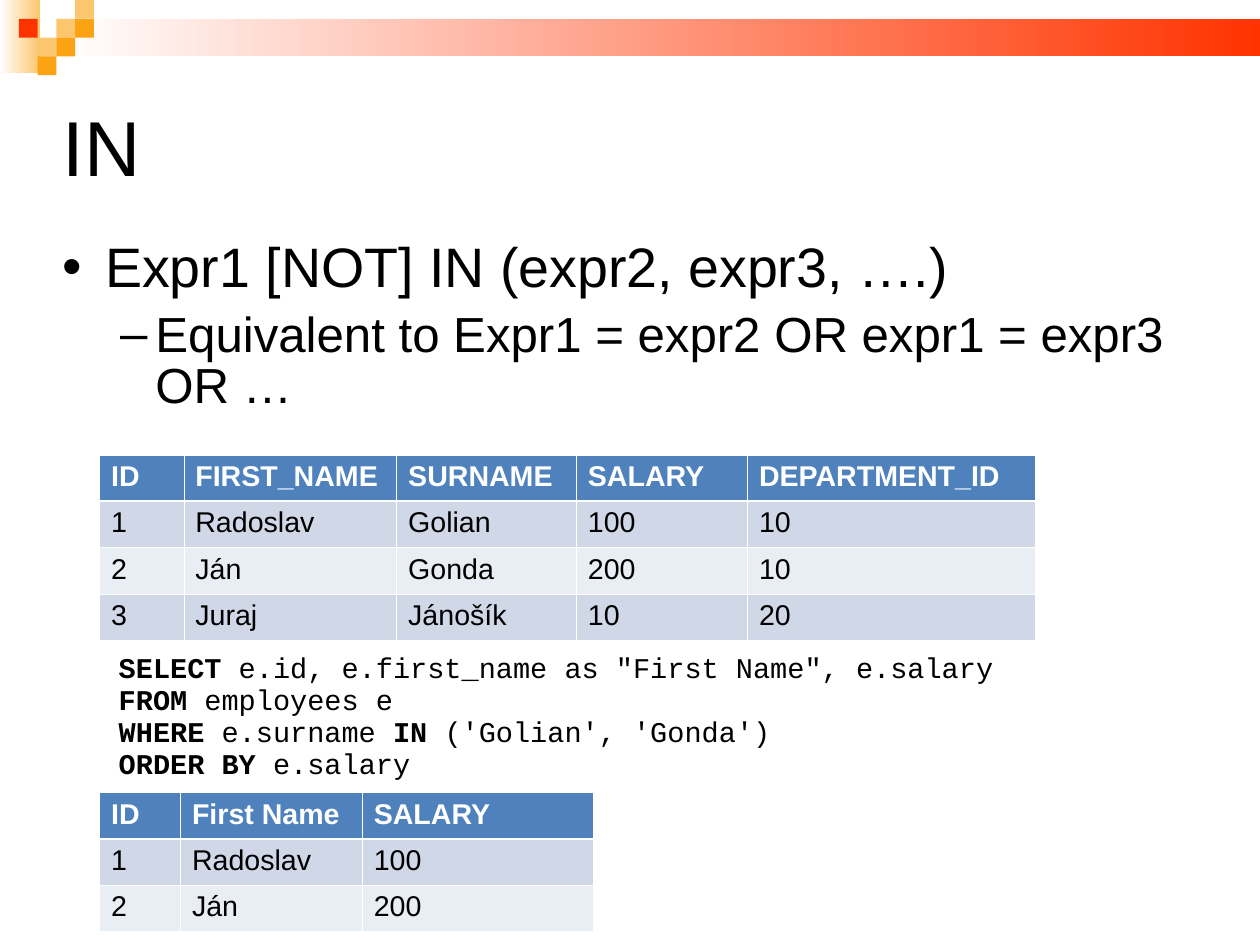
from dataclasses import dataclass

import pptx
import pptx.dml.color
import pptx.enum.shapes
import pptx.enum.text
import pptx.oxml
import pptx.oxml.ns
import pptx.util

Pt = pptx.util.Pt
qn = pptx.oxml.ns.qn


@dataclass(frozen=True)
class Theme:
    black: str = "000000"
    white: str = "FFFFFF"
    red: str = "FF3300"
    amber: str = "FBA313"
    sand: str = "FCC66E"
    head: str = "4F81BD"
    odd: str = "D0D8E8"
    even: str = "E9EDF4"
    sans: str = "Arial"
    mono: str = "Courier New"
    title: float = 49
    point: float = 35
    detail: float = 31
    small: float = 18
    thin: float = 0.45
    thick: float = 1.47


@dataclass(frozen=True)
class Box:
    left: float
    top: float
    width: float
    height: float

    def lengths(self) -> tuple:
        return Pt(self.left), Pt(self.top), Pt(self.width), Pt(self.height)


@dataclass(frozen=True)
class Tile:
    col: int
    row: int
    color: str


@dataclass(frozen=True)
class Point:
    text: str
    size: float
    mark: str
    margin: float
    hang: float
    before: float
    level: int


@dataclass(frozen=True)
class Grid:
    left: float
    top: float
    widths: tuple
    rows: tuple


LOOK = Theme()
SIDE = 11.85
ROW = 29.2

FADES = [(Box(0, 0, 25.2, 46.1), LOOK.sand),
         (Box(36, 11.8, 757.7, 23.6), LOOK.red)]

TILES = [Tile(3, 1, LOOK.sand), Tile(4, 0, LOOK.sand), Tile(4, 1, LOOK.amber),
         Tile(2, 2, LOOK.sand), Tile(1, 1, LOOK.red), Tile(3, 2, LOOK.amber),
         Tile(2, 3, LOOK.amber)]

POINTS = [
    Point("Expr1 [NOT] IN (expr2, expr3, ….)", LOOK.point, "•", 26.6, 26.6, 0, 0),
    Point("Equivalent to Expr1 = expr2 OR expr1 = expr3 OR …",
          LOOK.detail, "–", 58.3, 22.3, 7.7, 1),
]

# Each line is a list of (text, bold) pairs.
QUERY = [
    [("SELECT ", True), ('e.id, e.first_name as "First Name", e.salary', False)],
    [("FROM", True), (" employees e", False)],
    [("WHERE ", True), ("e.surname ", False), ("IN ", True),
     ("('Golian', 'Gonda')", False)],
    [("ORDER BY ", True), ("e.salary", False)],
]

STAFF = Grid(62.8, 286.6, (53.1, 134.1, 113.2, 107.8, 181.2), (
    ("ID", "FIRST_NAME", "SURNAME", "SALARY", "DEPARTMENT_ID"),
    ("1", "Radoslav", "Golian", "100", "10"),
    ("2", "Ján", "Gonda", "200", "10"),
    ("3", "Juraj", "Jánošík", "10", "20"),
))
RESULT = Grid(62.8, 499.2, (51, 114.5, 145.5), (
    ("ID", "First Name", "SALARY"),
    ("1", "Radoslav", "100"),
    ("2", "Ján", "200"),
))


def tint(code: str) -> pptx.dml.color.RGBColor:
    return pptx.dml.color.RGBColor.from_string(code)


def write(para, text: str, *, size: float, font: str = LOOK.sans,
          color: str = LOOK.black, bold: bool = False) -> None:
    run = para.add_run()
    run.text = text
    run.font.name = font
    run.font.size = Pt(size)
    run.font.bold = bold
    run.font.color.rgb = tint(color)


def add_block(slide, box: Box):
    block = slide.shapes.add_shape(
        pptx.enum.shapes.MSO_SHAPE.RECTANGLE, *box.lengths())
    block.shadow.inherit = False
    block.line.fill.background()
    return block


def add_fade(slide, box: Box, color: str) -> None:
    """Add a bar that runs from white at the left to the colour."""
    fill = add_block(slide, box).fill
    fill.gradient()
    fill.gradient_angle = 0
    for stop, code in zip(fill.gradient_stops, (LOOK.white, color)):
        stop.color.rgb = tint(code)


def add_tile(slide, tile: Tile) -> None:
    box = Box(tile.col * SIDE, tile.row * SIDE, SIDE, SIDE)
    fill = add_block(slide, box).fill
    fill.solid()
    fill.fore_color.rgb = tint(tile.color)


def add_frame(slide, box: Box, inset: tuple):
    """Add a wrapping text box; inset is left, top, right, bottom."""
    frame = slide.shapes.add_textbox(*box.lengths()).text_frame
    frame.word_wrap = True
    (frame.margin_left, frame.margin_top,
     frame.margin_right, frame.margin_bottom) = map(Pt, inset)
    return frame


def add_lines(frame, count: int, spacing: float) -> list:
    lines = [frame.paragraphs[0]]
    lines += [frame.add_paragraph() for _ in range(count - 1)]
    for line in lines:
        line.line_spacing = spacing
    return lines


def set_mark(para, point: Point) -> None:
    """Give the paragraph its bullet and hanging indent."""
    props = para._p.get_or_add_pPr()
    props.set("marL", str(Pt(point.margin)))
    props.set("indent", str(-Pt(point.hang)))
    color = pptx.oxml.parse_xml(
        f'<a:buClr {pptx.oxml.ns.nsdecls("a")}><a:srgbClr val="{LOOK.black}"/></a:buClr>')
    props.append(color)
    for tag, key, value in (("a:buFont", "typeface", LOOK.sans),
                            ("a:buChar", "char", point.mark)):
        props.makeelement(qn(tag))
        item = props.makeelement(qn(tag), {key: value})
        props.append(item)
    para.level = point.level
    para.space_before = Pt(point.before)


def set_edges(cell, row: int) -> None:
    """Draw white cell borders, thicker between the head and the body."""
    props = cell._tc.get_or_add_tcPr()
    weights = {"L": LOOK.thin, "R": LOOK.thin,
               "T": LOOK.thick if row == 1 else LOOK.thin,
               "B": LOOK.thick if row == 0 else LOOK.thin}
    for place, (side, weight) in enumerate(weights.items()):
        props.insert(place, pptx.oxml.parse_xml(
            f'<a:ln{side} {pptx.oxml.ns.nsdecls("a")} w="{Pt(weight)}"><a:solidFill>'
            f'<a:srgbClr val="{LOOK.white}"/></a:solidFill></a:ln{side}>'))


def add_grid(slide, grid: Grid) -> None:
    box = Box(grid.left, grid.top, sum(grid.widths), ROW * len(grid.rows))
    table = slide.shapes.add_table(
        len(grid.rows), len(grid.widths), *box.lengths()).table
    table.horz_banding = False
    for column, width in zip(table.columns, grid.widths):
        column.width = Pt(width)
    for row, texts in enumerate(grid.rows):
        head = row == 0
        for col, text in enumerate(texts):
            cell = table.cell(row, col)
            cell.fill.solid()
            cell.fill.fore_color.rgb = tint(
                LOOK.head if head else LOOK.odd if row % 2 else LOOK.even)
            set_edges(cell, row)
            write(cell.text_frame.paragraphs[0], text, size=LOOK.small,
                  color=LOOK.white if head else LOOK.black, bold=head)


def main() -> None:
    deck = pptx.Presentation()
    deck.slide_width, deck.slide_height = Pt(793.7), Pt(595.3)
    slide = deck.slides.add_slide(deck.slide_layouts[6])

    for box, color in FADES:
        add_fade(slide, box, color)
    for tile in TILES:
        add_tile(slide, tile)

    title = add_frame(slide, Box(39.6, 36.7, 714.2, 118.8), (0, 0, 0, 0))
    title.vertical_anchor = pptx.enum.text.MSO_ANCHOR.MIDDLE
    write(add_lines(title, 1, 0.87)[0], "IN", size=LOOK.title)

    body = add_frame(slide, Box(39.6, 147.6, 714.2, 337), (0, 4.3, 0, 0))
    for para, point in zip(add_lines(body, len(POINTS), 0.87), POINTS):
        set_mark(para, point)
        write(para, point.text, size=point.size)

    code = add_frame(slide, Box(67.7, 407.5, 697.7, 88.6), (7.2, 3.6, 7.2, 3.6))
    for para, parts in zip(add_lines(code, len(QUERY), 0.94), QUERY):
        for text, bold in parts:
            write(para, text, size=LOOK.small, font=LOOK.mono, bold=bold)

    for grid in (STAFF, RESULT):
        add_grid(slide, grid)
    deck.save("out.pptx")


if __name__ == "__main__":
    main()
